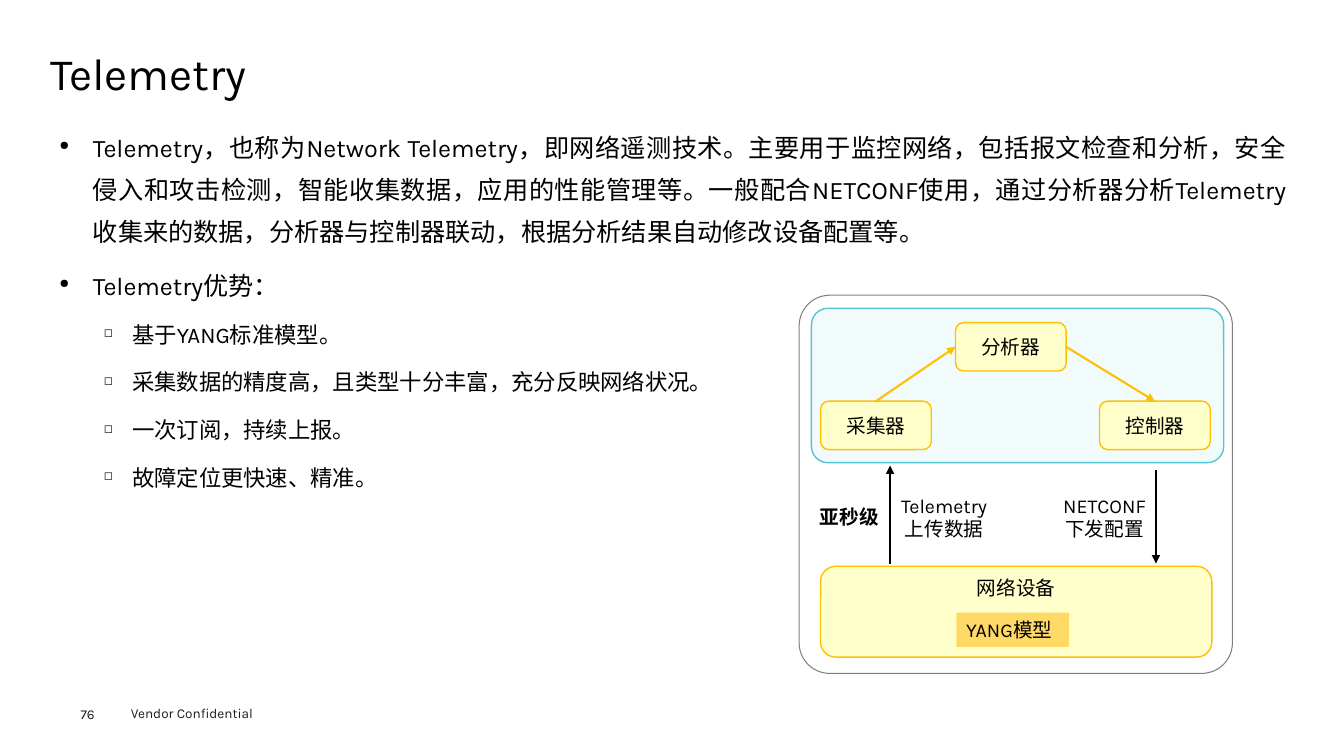
from typing import NamedTuple, Optional

from lxml.etree import SubElement
from pptx import Presentation
from pptx.dml.color import RGBColor
from pptx.enum.shapes import MSO_CONNECTOR as Link, MSO_SHAPE as Preset
from pptx.enum.text import MSO_ANCHOR as Anchor, PP_ALIGN as Align
from pptx.oxml.ns import qn
from pptx.util import Cm, Pt

FONT = "Karla"
COLORS = {
    "text": "000000",
    "footer": "1D1D1B",
    "frame": "808080",
    "platform": "F2FBFC",
    "platform_line": "56C4D2",
    "node": "FFFFCC",
    "accent": "FFC000",
    "model": "FFD966",
}


class Area(NamedTuple):
    left: float
    top: float
    width: float
    height: float


class Label(NamedTuple):
    area: Area
    lines: tuple[str, ...]
    size: float = 14
    color: str = "text"
    bold: bool = False
    align: Align = Align.CENTER
    anchor: Anchor = Anchor.TOP
    inset: Optional[float] = None
    spacing: float = 1.0
    wrap: bool = False


class Block(NamedTuple):
    area: Area
    fill: Optional[str] = None
    line: Optional[str] = None
    width: float = 1
    radius: float = 0.1667
    text: str = ""
    anchor: Anchor = Anchor.MIDDLE
    preset: Preset = Preset.ROUNDED_RECTANGLE
    align: Align = Align.CENTER


class Arrow(NamedTuple):
    x: float
    start: float
    end: float


class Bullet(NamedTuple):
    text: str
    level: int = 0


class BulletStyle(NamedTuple):
    mark: str
    size: float
    margin: float
    hanging: float
    before: float
    align: Align


BULLET_STYLES = (
    BulletStyle("●", 18, 0.84, 0.84, 7.9, Align.JUSTIFY),
    BulletStyle("◻", 16, 1.83, 0.71, 7.2, Align.LEFT),
)
BULLETS = (
    Bullet("Telemetry，也称为Network Telemetry，即网络遥测技术。主要用于监控网络，"
           "包括报文检查和分析，安全侵入和攻击检测，智能收集数据，应用的性能管理等。"
           "一般配合NETCONF使用，通过分析器分析Telemetry收集来的数据，"
           "分析器与控制器联动，根据分析结果自动修改设备配置等。"),
    Bullet("Telemetry优势："),
    Bullet("基于YANG标准模型。", 1),
    Bullet("采集数据的精度高，且类型十分丰富，充分反映网络状况。", 1),
    Bullet("一次订阅，持续上报。", 1),
    Bullet("故障定位更快速、精准。", 1),
)
LABELS = (
    Label(Area(3.05, 17.65, 4.06, 0.69), ("Vendor Confidential",), 9.7, "footer",
          align=Align.LEFT),
    Label(Area(2.03, 17.78, 1.4, 0.41), ("76",), 9.7, "footer", align=Align.LEFT, inset=0),
    Label(Area(1.27, 1.24, 31.37, 1.35), ("Telemetry",), 32, align=Align.LEFT,
          anchor=Anchor.MIDDLE, inset=0, spacing=0.9, wrap=True),
    Label(Area(22.4, 12.32, 2.79, 1.45), ("Telemetry", "上传数据")),
    Label(Area(26.44, 12.32, 2.79, 1.45), ("NETCONF", "下发配置")),
    Label(Area(20.4, 12.6, 2.01, 0.86), ("亚秒级",), bold=True),
)
BLOCKS = {
    "frame": Block(Area(20.14, 7.44, 10.92, 9.53), None, "frame", 0.75, 0.081),
    "platform": Block(Area(20.45, 7.77, 10.39, 3.89), "platform", "platform_line",
                      radius=0.106),
    "collector": Block(Area(20.68, 10.11, 2.79, 1.22), "node", "accent", text="采集器"),
    "controller": Block(Area(27.71, 10.11, 2.79, 1.22), "node", "accent", text="控制器"),
    "analyzer": Block(Area(24.08, 8.13, 2.79, 1.22), "node", "accent", text="分析器"),
    "device": Block(Area(20.68, 14.27, 9.86, 2.29), "node", "accent", text="网络设备",
                    anchor=Anchor.TOP),
    "model": Block(Area(24.1, 15.44, 2.84, 0.86), "model", text="YANG模型",
                   preset=Preset.RECTANGLE, align=Align.LEFT),
}
JOINS = (("collector", 0, "analyzer", 1), ("analyzer", 3, "controller", 0))
ARROWS = (Arrow(22.43, 14.2, 11.73), Arrow(29.13, 11.84, 14.2))


def rgb(name: str) -> RGBColor:
    return RGBColor.from_string(COLORS[name])


def place(area: Area) -> tuple:
    return tuple(Cm(value) for value in area)


def add_span(para, text: str, size: float, color: str = "text", bold: bool = False) -> None:
    span = para.add_run()
    span.text = text
    span.font.name = FONT
    span.font.size = Pt(size)
    span.font.bold = bold
    span.font.color.rgb = rgb(color)


def paragraph_at(frame, index: int):
    return frame.add_paragraph() if index else frame.paragraphs[0]


def add_label(page, label: Label) -> None:
    frame = page.shapes.add_textbox(*place(label.area)).text_frame
    frame.word_wrap = label.wrap
    frame.vertical_anchor = label.anchor
    if label.inset is not None:
        frame.margin_left = frame.margin_right = Cm(label.inset)
        frame.margin_top = frame.margin_bottom = Cm(label.inset)
    for index, line in enumerate(label.lines):
        para = paragraph_at(frame, index)
        para.alignment = label.align
        para.line_spacing = label.spacing
        add_span(para, line, label.size, label.color, label.bold)


def add_bullets(page, area: Area, bullets: tuple[Bullet, ...]) -> None:
    frame = page.shapes.add_textbox(*place(area)).text_frame
    frame.word_wrap = True
    frame.margin_left = frame.margin_right = Cm(0.23)
    frame.margin_top = frame.margin_bottom = Cm(0.1)
    for index, bullet in enumerate(bullets):
        style = BULLET_STYLES[bullet.level]
        para = paragraph_at(frame, index)
        props = para._p.get_or_add_pPr()
        props.set("marL", str(Cm(style.margin)))
        props.set("indent", str(-Cm(style.hanging)))
        SubElement(props, qn("a:buSzPct"), val="50000")
        SubElement(props, qn("a:buChar"), char=style.mark)
        para.level = bullet.level
        para.alignment = style.align
        para.line_spacing = 1.4
        para.space_before = Pt(style.before if index else 0)
        add_span(para, bullet.text, style.size)


def add_block(page, block: Block):
    box = page.shapes.add_shape(block.preset, *place(block.area))
    box.shadow.inherit = False
    if block.preset == Preset.ROUNDED_RECTANGLE:
        box.adjustments[0] = block.radius
    if block.fill:
        box.fill.solid()
        box.fill.fore_color.rgb = rgb(block.fill)
    else:
        box.fill.background()
    if block.line:
        box.line.color.rgb = rgb(block.line)
        box.line.width = Pt(block.width)
    else:
        box.line.fill.background()
    if block.text:
        frame = box.text_frame
        frame.word_wrap = False
        frame.vertical_anchor = block.anchor
        para = frame.paragraphs[0]
        para.alignment = block.align
        add_span(para, block.text, 14)
    return box


def add_arrow(page, color: str, arrow: Arrow = Arrow(0, 0, 0)):
    x = Cm(arrow.x)
    link = page.shapes.add_connector(Link.STRAIGHT, x, Cm(arrow.start), x, Cm(arrow.end))
    link.line.color.rgb = rgb(color)
    link.line.width = Pt(1.5)
    SubElement(link.line._get_or_add_ln(), qn("a:tailEnd"), type="triangle")
    SubElement(link._element.spPr, qn("a:effectLst"))
    return link


def main() -> None:
    deck = Presentation()
    deck.slide_width, deck.slide_height = Cm(33.87), Cm(19.05)
    page = deck.slides.add_slide(deck.slide_layouts[6])
    add_bullets(page, Area(1.27, 2.92, 31.37, 13.56), BULLETS)
    boxes = {name: add_block(page, block) for name, block in BLOCKS.items()}
    for source, source_side, target, target_side in JOINS:
        link = add_arrow(page, "accent")
        link.begin_connect(boxes[source], source_side)
        link.end_connect(boxes[target], target_side)
    for arrow in ARROWS:
        add_arrow(page, "text", arrow)
    for label in LABELS:
        add_label(page, label)
    deck.save("out.pptx")


if __name__ == "__main__":
    main()
